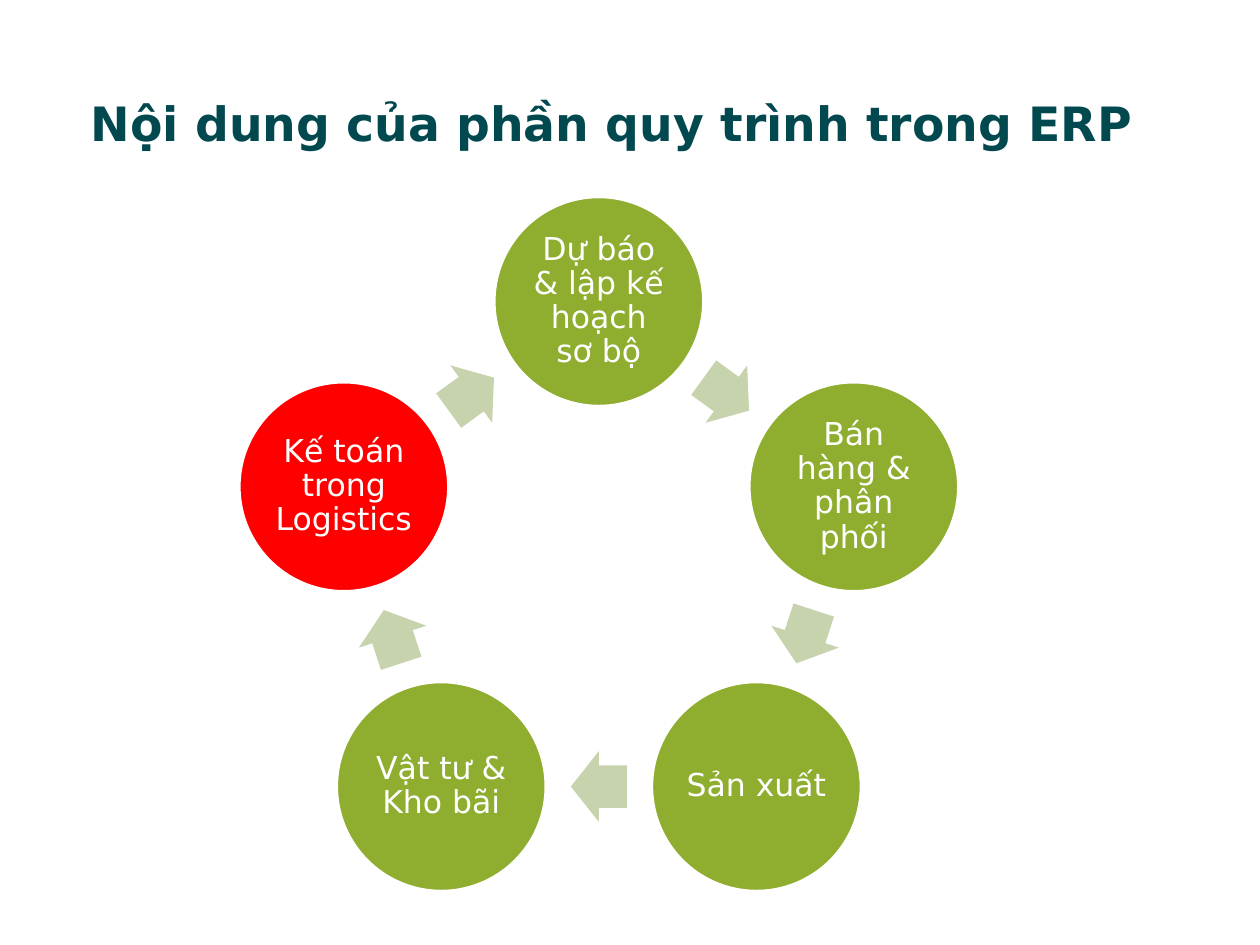
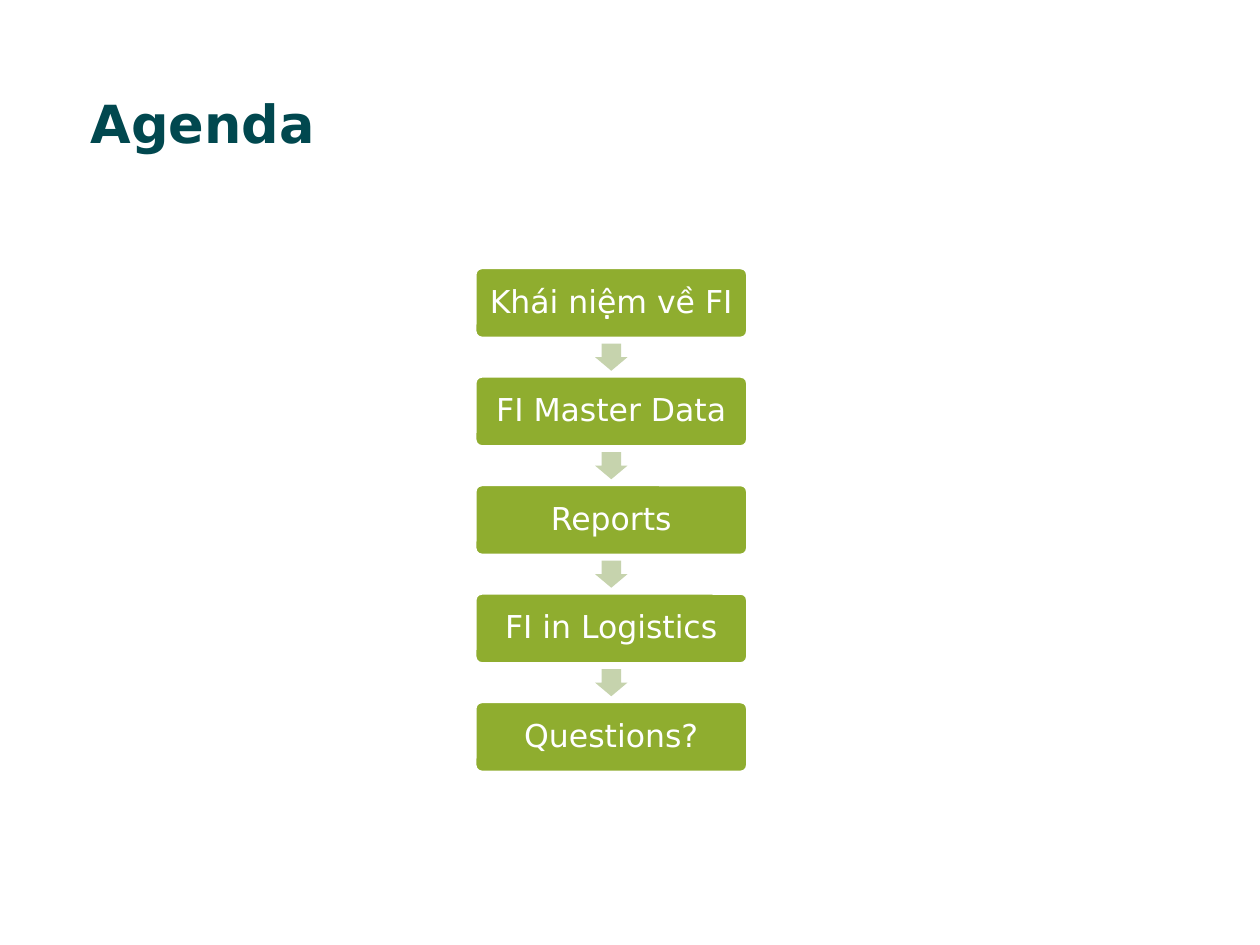
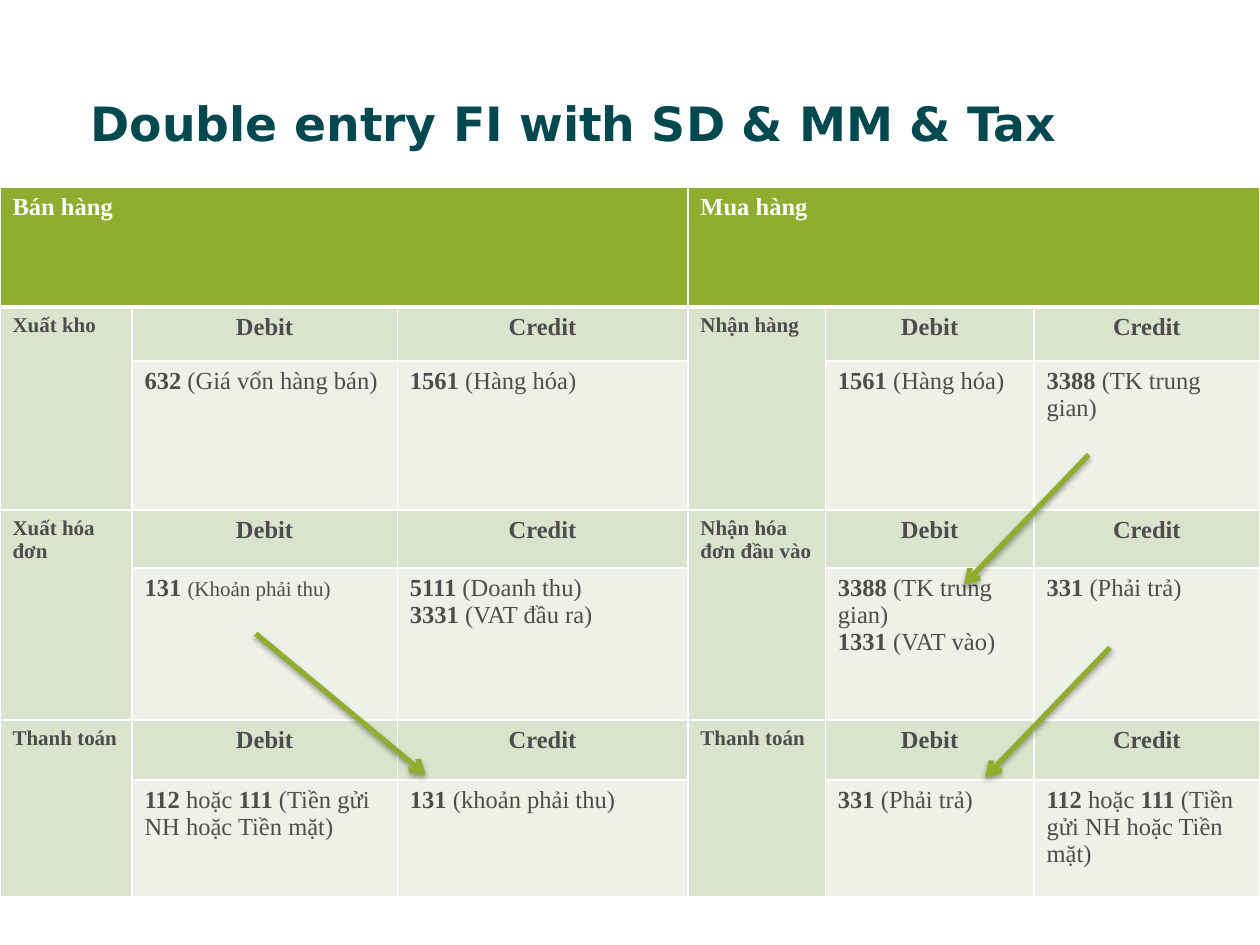
import math
from dataclasses import dataclass

import pptx
import pptx.dml.color
import pptx.enum.shapes
import pptx.enum.text
import pptx.oxml
import pptx.oxml.ns
import pptx.util

Pt = pptx.util.Pt
SHAPE = pptx.enum.shapes.MSO_SHAPE
ALIGN = pptx.enum.text.PP_ALIGN
ANCHOR = pptx.enum.text.MSO_ANCHOR


@dataclass(frozen=True)
class Theme:
    title: str = "01484F"
    green: str = "8FAD2F"
    red: str = "FF0000"
    arrow: str = "C6D3AD"
    white: str = "FFFFFF"
    ink: str = "4D4D4D"
    label_fill: str = "DBE3CD"
    entry_fill: str = "EEF1E8"
    font: str = "DejaVu Sans"
    table_font: str = "Times New Roman"
    title_size: float = 27
    agenda_title_size: float = 30
    node_size: float = 18
    cell_size: float = 14
    label_size: float = 12


def rgb(value):
    return pptx.dml.color.RGBColor.from_string(value)


class Deck:
    def __init__(self, theme):
        self.theme = theme
        self.prs = pptx.Presentation()
        self.prs.slide_width, self.prs.slide_height = Pt(720), Pt(540)
        self.s = None

    def slide(self, title, size):
        self.s = self.prs.slides.add_slide(self.prs.slide_layouts[5])
        sp = self.s.shapes.title
        sp.left, sp.top, sp.width, sp.height = Pt(44.6), Pt(46), Pt(618), Pt(48.2)
        tf = sp.text_frame
        tf.auto_size = pptx.enum.text.MSO_AUTO_SIZE.NONE
        tf.vertical_anchor = ANCHOR.MIDDLE
        p = tf.paragraphs[0]
        p.alignment = ALIGN.LEFT
        self.run(p, title, size, self.theme.title, True)

    def run(self, p, text, size, color, bold=False, font=None):
        r = p.add_run()
        r.text = text
        r.font.name = font or self.theme.font
        r.font.size = Pt(size)
        r.font.bold = bold
        r.font.color.rgb = rgb(color)

    def shape(self, kind, cx, cy, w, h, fill):
        sp = self.s.shapes.add_shape(kind, Pt(cx - w / 2), Pt(cy - h / 2), Pt(w), Pt(h))
        sp.shadow.inherit = False
        sp.fill.solid()
        sp.fill.fore_color.rgb = rgb(fill)
        sp.line.fill.background()
        return sp

    def node(self, kind, cx, cy, w, h, text, fill, inset):
        sp = self.shape(kind, cx, cy, w, h, fill)
        sp.line.color.rgb = rgb(self.theme.white)
        sp.line.width = Pt(2)
        tf = sp.text_frame
        tf.word_wrap = True
        tf.vertical_anchor = ANCHOR.MIDDLE
        tf.margin_left = tf.margin_right = tf.margin_top = tf.margin_bottom = Pt(inset)
        p = tf.paragraphs[0]
        p.alignment = ALIGN.CENTER
        p.line_spacing = 0.9
        self.run(p, text, self.theme.node_size, self.theme.white)
        return sp

    def block_arrow(self, cx, cy, w, h, rotation):
        sp = self.shape(SHAPE.RIGHT_ARROW, cx, cy, w, h, self.theme.arrow)
        sp.adjustments[0], sp.adjustments[1] = 0.6, 0.5
        sp.rotation = rotation

    def line_arrow(self, x1, y1, x2, y2):
        sp = self.s.shapes.add_connector(
            pptx.enum.shapes.MSO_CONNECTOR.STRAIGHT, Pt(x1), Pt(y1), Pt(x2), Pt(y2))
        sp.line.color.rgb = rgb(self.theme.green)
        sp.line.width = Pt(3)
        ns = pptx.oxml.ns.nsdecls("a")
        sp.line._get_or_add_ln().append(pptx.oxml.parse_xml(f'<a:tailEnd {ns} type="arrow"/>'))
        sp._element.spPr.append(pptx.oxml.parse_xml(
            f'<a:effectLst {ns}><a:outerShdw blurRad="{Pt(3.1)}" dist="{Pt(1.8)}" '
            'dir="5400000" rotWithShape="0"><a:srgbClr val="000000">'
            '<a:alpha val="35000"/></a:srgbClr></a:outerShdw></a:effectLst>'))

    def table(self, top, widths, heights):
        frame = self.s.shapes.add_table(
            len(heights), len(widths), 0, Pt(top), Pt(sum(widths)), Pt(sum(heights)))
        table = frame.table
        table.first_row = table.horz_banding = False
        for column, width in zip(table.columns, widths):
            column.width = Pt(width)
        for row, height in zip(table.rows, heights):
            row.height = Pt(height)
        for i in range(len(heights)):
            for j in range(len(widths)):
                self.borders(table.cell(i, j), 3 if i == 1 else 1, 3 if i == 0 else 1)
        return table

    def borders(self, cell, top, bottom):
        tcPr = cell._tc.get_or_add_tcPr()
        ns = pptx.oxml.ns.nsdecls("a")
        for side, width in (("L", 1), ("R", 1), ("T", top), ("B", bottom)):
            tcPr.append(pptx.oxml.parse_xml(
                f'<a:ln{side} {ns} w="{Pt(width)}"><a:solidFill>'
                f'<a:srgbClr val="{self.theme.white}"/></a:solidFill></a:ln{side}>'))

    def cell(self, cell, paragraphs, fill, color=None, size=None, plain_size=None, align=ALIGN.LEFT):
        size = size or self.theme.cell_size
        cell.fill.solid()
        cell.fill.fore_color.rgb = rgb(fill)
        tf = cell.text_frame
        for i, texts in enumerate(paragraphs):
            p = tf.add_paragraph() if i else tf.paragraphs[0]
            p.alignment = align
            for j, text in enumerate(texts):
                bold = j % 2 == 0
                self.run(p, text, size if bold else plain_size or size,
                         color or self.theme.ink, bold, self.theme.table_font)


def process_cycle(deck):
    t = deck.theme
    deck.slide("Nội dung của phần quy trình trong ERP", t.title_size)
    steps = ["Dự báo & lập kế hoạch sơ bộ", "Bán hàng & phân phối", "Sản xuất",
             "Vật tư & Kho bãi", "Kế toán trong Logistics"]
    cx, cy, radius = 342.2, 325.5, 153.2
    turn = 360 / len(steps)
    arrow_radius = radius * math.cos(math.radians(turn / 2))

    def around(angle, distance):
        a = math.radians(angle)
        return cx + distance * math.sin(a), cy - distance * math.cos(a)

    for i, step in enumerate(steps):
        fill = t.red if step == steps[-1] else t.green
        deck.node(SHAPE.OVAL, *around(i * turn, radius), 120, 120, step, fill, 2.2)
        middle = (i + 0.5) * turn
        deck.block_arrow(*around(middle, arrow_radius), 32, 40.5, middle)


def agenda(deck):
    deck.slide("Agenda", deck.theme.agenda_title_size)
    topics = ["Khái niệm về FI", "FI Master Data", "Reports", "FI in Logistics", "Questions?"]
    cx, first, step = 349.3, 173.1, 62
    for i, topic in enumerate(topics):
        cy = first + i * step
        sp = deck.node(SHAPE.ROUNDED_RECTANGLE, cx, cy, 156, 40.5, topic, deck.theme.green, 5)
        sp.adjustments[0] = 0.1
        if i < len(topics) - 1:
            deck.block_arrow(cx, cy + step / 2, 15.5, 18.5, 90)


def double_entry(deck):
    t = deck.theme
    deck.slide("Double entry FI with SD & MM & Tax", t.title_size)
    cash = [("112", " hoặc ", "111", " (Tiền gửi NH hoặc Tiền mặt)")]
    payable = [("331 ", "(Phải trả)")]
    goods = [("1561", " (Hàng hóa)")]
    clearing = ("3388 ", "(TK trung gian)")
    receivable = [("131 ", "(Khoản phải thu)")]
    sides = [
        ("Bán hàng", [
            ("Xuất kho", [("632", " (Giá vốn hàng bán)")], goods),
            ("Xuất hóa đơn", receivable,
             [("5111", " (Doanh thu)"), ("3331", " (VAT đầu ra)")]),
            ("Thanh toán", cash, [("131", " (khoản phải thu)")]),
        ]),
        ("Mua hàng", [
            ("Nhận hàng", goods, [clearing]),
            ("Nhận hóa đơn đầu vào", [clearing, ("1331", " (VAT vào)")], payable),
            ("Thanh toán", payable, cash),
        ]),
    ]
    table = deck.table(107.2, [75.4, 151.7, 166, 78.6, 119.2, 129.1],
                       [68.3, 30.9, 85.1, 33.1, 86.9, 34.3, 66.9])
    for side, (heading, stages) in enumerate(sides):
        left = side * 3
        table.cell(0, left).merge(table.cell(0, left + 2))
        deck.cell(table.cell(0, left), [(heading,)], t.green, t.white)
        for i, (label, debit, credit) in enumerate(stages):
            row = 1 + i * 2
            table.cell(row, left).merge(table.cell(row + 1, left))
            deck.cell(table.cell(row, left), [(label,)], t.label_fill, size=t.label_size)
            for col, (name, entry) in enumerate((("Debit", debit), ("Credit", credit)), left + 1):
                deck.cell(table.cell(row, col), [(name,)], t.label_fill, align=ALIGN.CENTER)
                plain_size = t.label_size if entry is receivable else None
                deck.cell(table.cell(row + 1, col), entry, t.entry_fill, plain_size=plain_size)
    for ends in ((146.2, 362.2, 243.4, 442.8), (622.1, 259.9, 550.8, 334.1),
                 (634.3, 370.1, 563, 444.2)):
        deck.line_arrow(*ends)


def main():
    deck = Deck(Theme())
    process_cycle(deck)
    agenda(deck)
    double_entry(deck)
    deck.prs.save("out.pptx")


if __name__ == "__main__":
    main()
